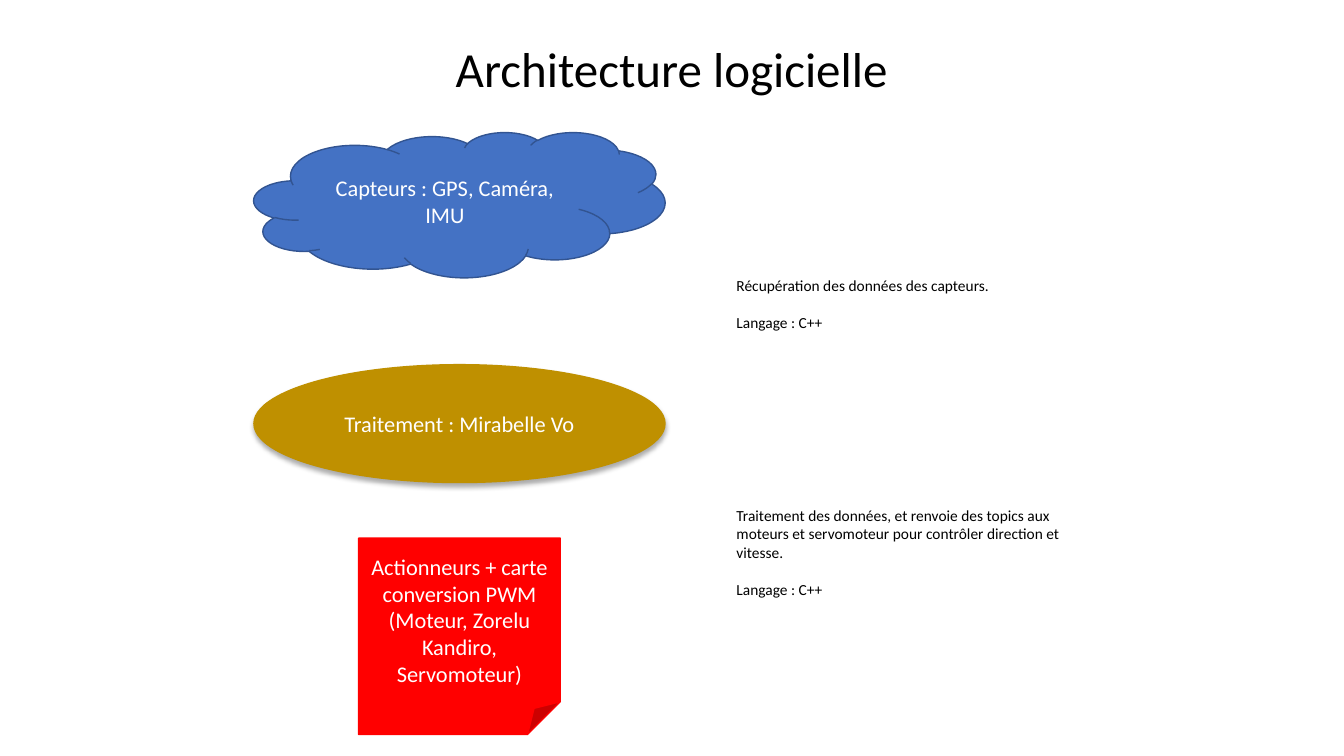
"""Build the software architecture slide: three stages and their notes."""
from dataclasses import dataclass

from lxml.etree import SubElement
from pptx import Presentation
from pptx.dml.color import RGBColor
from pptx.enum.shapes import MSO_SHAPE
from pptx.enum.text import MSO_ANCHOR, PP_ALIGN
from pptx.oxml.ns import qn
from pptx.shapes.autoshape import Shape
from pptx.slide import Slide
from pptx.text.text import TextFrame
from pptx.util import Cm, Pt

FONT = "Calibri"
BLACK = RGBColor(0x00, 0x00, 0x00)
WHITE = RGBColor(0xFF, 0xFF, 0xFF)
BLUE = RGBColor(0x44, 0x72, 0xC4)
DARK_BLUE = RGBColor(0x32, 0x54, 0x91)
GOLD = RGBColor(0xBF, 0x90, 0x00)
RED = RGBColor(0xFF, 0x00, 0x00)
SLIDE_WIDTH = 33.87
SLIDE_HEIGHT = 19.05
STAGE_CENTER = 11.58
NOTE_LEFT = 18.31
NOTE_WIDTH = 9.14


@dataclass(frozen=True)
class Stage:
    outline: MSO_SHAPE
    top: float
    width: float
    height: float
    fill: RGBColor
    line: RGBColor
    text: str
    shadow: bool = False


@dataclass(frozen=True)
class TextBlock:
    left: float
    top: float
    width: float
    height: float
    size: float
    lines: tuple[str, ...]
    alignment: PP_ALIGN = PP_ALIGN.LEFT
    gap: float = 0


STAGES = (
    Stage(MSO_SHAPE.CLOUD, 3.33, 10.36, 3.66, BLUE, DARK_BLUE,
          "Capteurs : GPS, Caméra, IMU"),
    Stage(MSO_SHAPE.OVAL, 9.19, 10.36, 2.97, GOLD, GOLD,
          "Traitement : Mirabelle Vo", shadow=True),
    Stage(MSO_SHAPE.FOLDED_CORNER, 13.56, 5.08, 4.95, RED, RED,
          "Actionneurs + carte conversion PWM (Moteur, Zorelu Kandiro, Servomoteur)"),
)
LANGUAGE = "Langage : C++"
TEXT_BLOCKS = (
    TextBlock(NOTE_LEFT, 6.83, NOTE_WIDTH, 1.68, 11,
              ("Récupération des données des capteurs.", LANGUAGE), gap=13.4),
    TextBlock(NOTE_LEFT, 12.62, NOTE_WIDTH, 2.62, 11,
              ("Traitement des données, et renvoie des topics aux moteurs et "
               "servomoteur pour contrôler direction et vitesse.", LANGUAGE), gap=13.4),
    TextBlock(0, 0.84, SLIDE_WIDTH, 1.75, 35,
              ("Architecture logicielle",), PP_ALIGN.CENTER),
)


def write_lines(frame: TextFrame, lines: tuple[str, ...], size: float,
                color: RGBColor, alignment: PP_ALIGN, gap: float = 0) -> None:
    """Fill a text frame with one paragraph per line."""
    frame.word_wrap = True
    for index, line in enumerate(lines):
        paragraph = frame.add_paragraph() if index else frame.paragraphs[0]
        paragraph.text = line
        paragraph.alignment = alignment
        paragraph.font.name = FONT
        paragraph.font.size = Pt(size)
        paragraph.font.color.rgb = color
        if index:
            paragraph.space_before = Pt(gap)


def add_shadow(shape: Shape) -> None:
    """Cast a soft black shadow straight below a shape."""
    effects = shape.element.spPr.find(qn("a:effectLst"))
    shadow = SubElement(effects, qn("a:outerShdw"), blurRad=str(Pt(3.5)),
                        dist=str(Pt(2.2)), dir="5400000", rotWithShape="0")
    color = SubElement(shadow, qn("a:srgbClr"), val=str(BLACK))
    SubElement(color, qn("a:alpha"), val="32000")


def add_stage(slide: Slide, stage: Stage) -> None:
    """Draw one stage centred on the stage column."""
    shape = slide.shapes.add_shape(
        stage.outline, Cm(STAGE_CENTER - stage.width / 2), Cm(stage.top),
        Cm(stage.width), Cm(stage.height))
    shape.shadow.inherit = False
    shape.fill.solid()
    shape.fill.fore_color.rgb = stage.fill
    shape.line.color.rgb = stage.line
    shape.line.width = Pt(1)
    if stage.shadow:
        add_shadow(shape)
    shape.text_frame.vertical_anchor = MSO_ANCHOR.MIDDLE
    write_lines(shape.text_frame, (stage.text,), 16, WHITE, PP_ALIGN.CENTER)


def add_text_block(slide: Slide, block: TextBlock) -> None:
    """Place a text box with black text."""
    box = slide.shapes.add_textbox(
        Cm(block.left), Cm(block.top), Cm(block.width), Cm(block.height))
    write_lines(box.text_frame, block.lines, block.size, BLACK,
                block.alignment, block.gap)


def main() -> None:
    """Create and save the presentation."""
    presentation = Presentation()
    presentation.slide_width = Cm(SLIDE_WIDTH)
    presentation.slide_height = Cm(SLIDE_HEIGHT)
    slide = presentation.slides.add_slide(presentation.slide_layouts[6])
    for stage in STAGES:
        add_stage(slide, stage)
    for block in TEXT_BLOCKS:
        add_text_block(slide, block)
    presentation.save("out.pptx")


if __name__ == "__main__":
    main()
